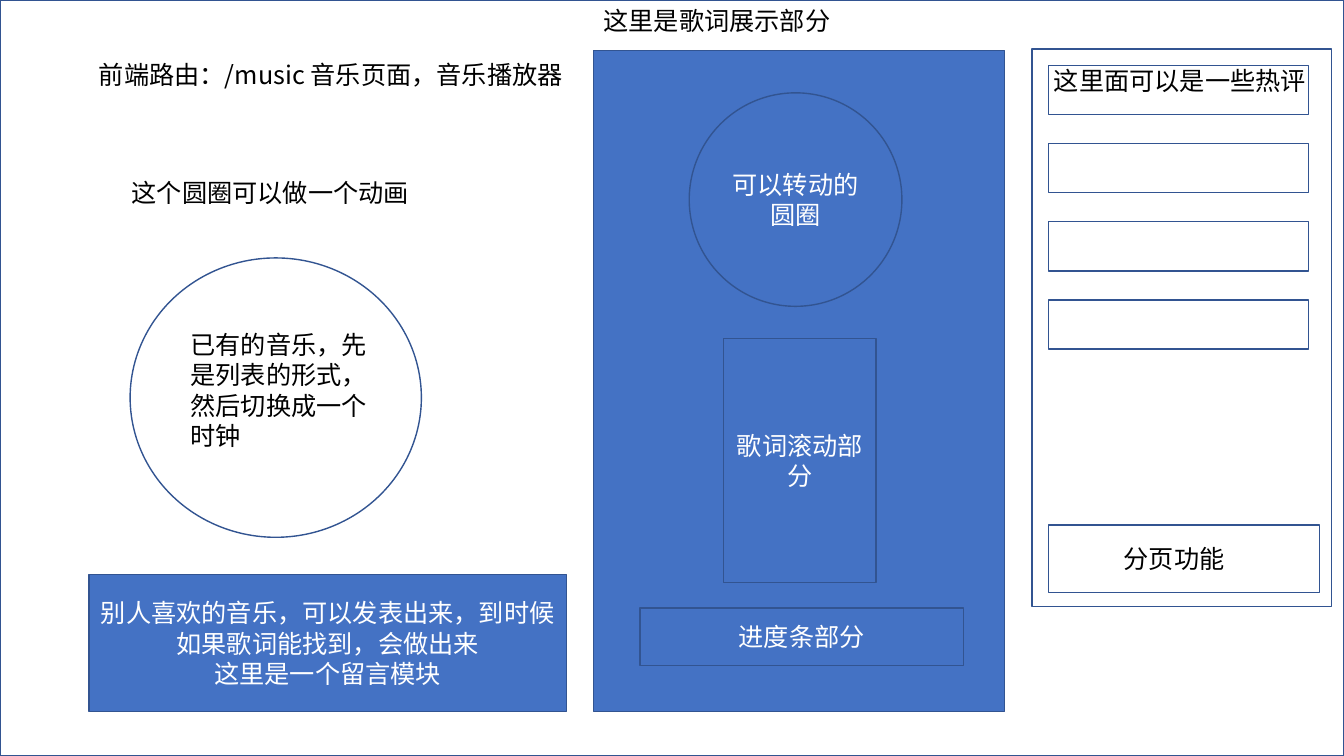
import pptx
import pptx.util
import pptx.dml.color
import pptx.enum.shapes
import pptx.enum.text
import pptx.oxml
import pptx.oxml.ns

Cm = pptx.util.Cm
RECT = pptx.enum.shapes.MSO_SHAPE.RECTANGLE
OVAL = pptx.enum.shapes.MSO_SHAPE.OVAL
ALIGN = pptx.enum.text.PP_ALIGN
ANCHOR = pptx.enum.text.MSO_ANCHOR
FONT = "Noto Sans CJK SC"
BLUE, OUTLINE, BLACK, WHITE = "4472C4", "325491", "000000", "FFFFFF"
LABEL_FRAME = {
    "word_wrap": True,
    "vertical_anchor": ANCHOR.TOP,
    "auto_size": pptx.enum.text.MSO_AUTO_SIZE.NONE,
}
BLOCK_FRAME = {**LABEL_FRAME, "vertical_anchor": ANCHOR.MIDDLE}
FONT_FORMAT = {"name": FONT, "size": pptx.util.Pt(18)}


def rgb(value):
    return pptx.dml.color.RGBColor.from_string(value)


def apply_format(target, values):
    for name, value in values.items():
        setattr(target, name, value)


def place(box):
    return [Cm(length) for length in box]


def write(frame, text, colour, align, frame_format):
    apply_format(frame, frame_format)
    frame.text = text
    for paragraph in frame.paragraphs:
        paragraph.alignment = align
        for run in paragraph.runs:
            apply_format(run.font, FONT_FORMAT)
            run.font.color.rgb = rgb(colour)
            east_asian = pptx.oxml.parse_xml(
                f'<a:ea {pptx.oxml.ns.nsdecls("a")} typeface="{FONT}"/>')
            run.font._element.append(east_asian)


def add_block(shapes, kind, box, text="", fill=None):
    block = shapes.add_shape(kind, *place(box))
    block.shadow.inherit = False
    block.line.color.rgb = rgb(OUTLINE)
    block.line.width = pptx.util.Pt(1)
    if fill:
        block.fill.solid()
        block.fill.fore_color.rgb = rgb(fill)
    else:
        block.fill.background()
    if text:
        write(block.text_frame, text, WHITE, ALIGN.CENTER, BLOCK_FRAME)


def add_label(shapes, box, text, wrap=False):
    label = shapes.add_textbox(*place(box))
    write(label.text_frame, text, BLACK, ALIGN.LEFT,
          {**LABEL_FRAME, "word_wrap": wrap})


def add_route_title(slide):
    title = slide.shapes.title
    apply_format(title, dict(zip(("left", "top", "width", "height"),
                                 place((2.24, 1.37, 13.67, 1.02)))))
    write(title.text_frame, "前端路由：/music 音乐页面，音乐播放器",
          BLACK, ALIGN.LEFT, LABEL_FRAME)


def add_clock(shapes):
    add_block(shapes, OVAL, (3.28, 6.5, 7.34, 7.04))
    add_label(shapes, (3.07, 4.34, 7.57, 1.02), "这个圆圈可以做一个动画")
    add_label(shapes, (4.55, 8.18, 5.03, 3.33),
              "已有的音乐，先是列表的形式，然后切换成一个时钟", wrap=True)


def add_player(shapes):
    player = shapes.add_group_shape().shapes
    add_block(player, RECT, (14.96, 1.27, 10.36, 16.66), fill=BLUE)
    add_label(player, (14.96, 0, 6.48, 1.07), "这里是歌词展示部分", wrap=True)
    for kind, box, text in (
        (OVAL, (17.37, 2.34, 5.36, 5.38), "可以转动的圆圈"),
        (RECT, (16.13, 15.32, 8.15, 1.45), "进度条部分"),
        (RECT, (18.24, 8.53, 3.84, 6.15), "歌词滚动部分"),
    ):
        add_block(player, kind, box, text, BLUE)


def add_comments(shapes):
    left, first_top, row_step = 26.42, 1.65, 1.97
    add_block(shapes, RECT, (26.01, 1.24, 7.54, 14.05))
    add_label(shapes, (26.31, 1.52, 6.93, 1.02), "这里面可以是一些热评")
    for row in range(4):
        add_block(shapes, RECT, (left, first_top + row * row_step, 6.55, 1.24))
    add_block(shapes, RECT, (left, 13.23, 6.83, 1.7))
    add_label(shapes, (28.07, 13.56, 3.07, 1.02), "分页功能")


def main():
    deck = pptx.Presentation()
    apply_format(deck, {"slide_width": Cm(33.87), "slide_height": Cm(19.05)})
    slide = deck.slides.add_slide(deck.slide_layouts.get_by_name("Title Only"))
    add_block(slide.shapes, RECT, (0, 0, 33.87, 19.05))
    add_route_title(slide)
    add_clock(slide.shapes)
    add_player(slide.shapes)
    add_block(slide.shapes, RECT, (2.24, 14.48, 12.04, 3.45),
              "别人喜欢的音乐，可以发表出来，到时候如果歌词能找到，会做出来\n"
              "这里是一个留言模块", BLUE)
    add_comments(slide.shapes)
    deck.save("out.pptx")


main()
